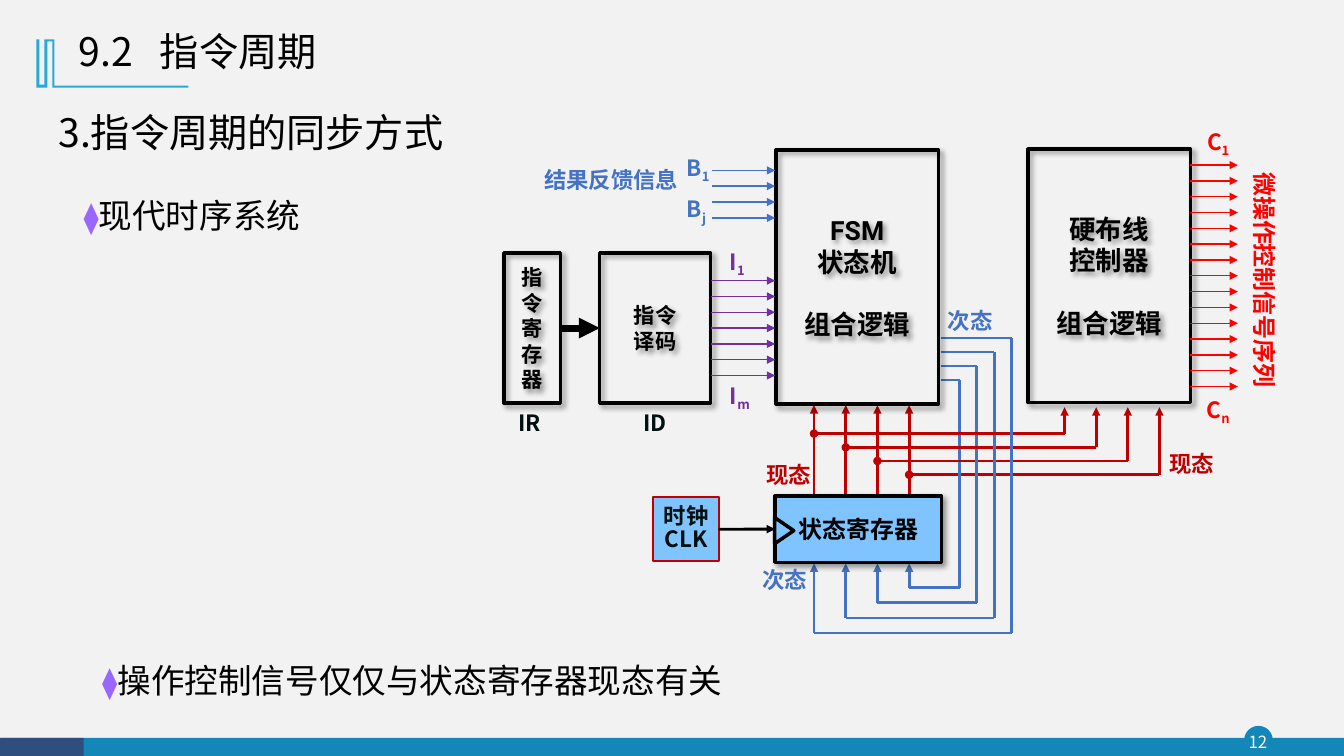
"""Build the slide on a modern timing system with an FSM and a hard-wired controller."""
from dataclasses import dataclass
from itertools import pairwise

from lxml import etree
from pptx import Presentation, util as u
from pptx.dml.color import RGBColor
from pptx.enum import shapes, text
from pptx.oxml.ns import qn
from pptx.shapes.autoshape import Shape
from pptx.shapes.connector import Connector
from pptx.slide import Slide
from pptx.text.text import _Paragraph as Paragraph

BLACK = RGBColor(0x00, 0x00, 0x00)
WHITE = RGBColor(0xFF, 0xFF, 0xFF)
PAPER = RGBColor(0xF2, 0xF2, 0xF2)
TEAL = RGBColor(0x13, 0x87, 0xB7)
NAVY = RGBColor(0x2E, 0x4E, 0x7E)
CYAN = RGBColor(0x28, 0xA9, 0xD6)
SKY = RGBColor(0x7F, 0xC4, 0xFF)
INK = RGBColor(0x00, 0x10, 0x10)
BLUE = RGBColor(0x44, 0x72, 0xC4)
PURPLE = RGBColor(0x70, 0x30, 0xA0)
VIOLET = RGBColor(0x99, 0x66, 0xFF)
RED = RGBColor(0xFF, 0x00, 0x00)
CRIMSON = RGBColor(0xC0, 0x00, 0x00)
SANS, HEADING, BLOCK, BODY = "Noto Sans CJK SC", "Noto Sans CJK JP", "Roboto", "Arial"
TIGHT = 0.87
Point = tuple[float, float]


@dataclass
class Span:
    words: str
    size: float
    color: RGBColor
    font: str = SANS
    bold: bool = False
    sub: bool = False


@dataclass
class Label:
    words: str
    left: float
    top: float
    width: float
    color: RGBColor
    sub: str = ""
    size: float = 16
    height: float = 26.6
    turn: float = 0


@dataclass
class Block:
    lines: tuple[str, ...]
    left: float
    top: float
    width: float
    height: float
    size: float
    fill: RGBColor | None = None
    gap: float = 0


@dataclass
class Bus:
    left: float
    right: float
    top: float
    pitch: float
    count: int
    color: RGBColor


def add_spans(para: Paragraph, *spans: Span) -> None:
    for span in spans:
        run = para.add_run()
        run.text = span.words
        run.font.size = u.Pt(span.size)
        run.font.bold = span.bold
        run.font.color.rgb = span.color
        run.font.name = span.font
        props = run.font._element
        etree.SubElement(props, qn("a:ea"), typeface=span.font)
        if span.sub:
            props.set("baseline", "-25000")


def add_text(page: Slide, area: tuple[float, ...], spans: list[Span], spacing: float = 1,
             align: text.PP_ALIGN = text.PP_ALIGN.CENTER, wrap: bool = False) -> Shape:
    box = page.shapes.add_textbox(*map(u.Pt, area))
    box.text_frame.word_wrap = wrap
    para = box.text_frame.paragraphs[0]
    para.alignment = align
    para.line_spacing = spacing
    add_spans(para, *spans)
    return box


def add_shape(page: Slide, kind: shapes.MSO_SHAPE, area: tuple[float, ...],
              fill: RGBColor | None, line: RGBColor | None = None, width: float = 1) -> Shape:
    shape = page.shapes.add_shape(kind, *map(u.Pt, area))
    paint(shape, fill, line, width)
    return shape


def paint(shape: Shape, fill: RGBColor | None, line: RGBColor | None = None, width: float = 1) -> None:
    shape.shadow.inherit = False
    if fill is None:
        shape.fill.background()
    else:
        shape.fill.solid()
        shape.fill.fore_color.rgb = fill
    if line is None:
        shape.line.fill.background()
    else:
        shape.line.color.rgb = line
        shape.line.width = u.Pt(width)


def add_block(page: Slide, block: Block) -> Shape:
    area = (block.left, block.top, block.width, block.height)
    shape = add_shape(page, shapes.MSO_SHAPE.RECTANGLE, area, block.fill, BLACK, 2.5)
    shadow = etree.SubElement(shape.element.spPr.find(qn("a:effectLst")), qn("a:outerShdw"),
                              blurRad=str(u.Pt(4)), dist=str(u.Pt(3)), dir="2700000",
                              algn="tl", rotWithShape="0")
    color = etree.SubElement(shadow, qn("a:srgbClr"), val=str(BLACK))
    etree.SubElement(color, qn("a:alpha"), val="40000")
    write_lines(shape, block.lines, block.size, BLACK, BLOCK, 1)
    if block.gap:
        shape.text_frame.paragraphs[-1].space_before = u.Pt(block.gap)
    return shape


def write_lines(shape: Shape, lines: tuple[str, ...], size: float, color: RGBColor,
                font: str, spacing: float) -> None:
    frame = shape.text_frame
    frame.vertical_anchor = text.MSO_ANCHOR.MIDDLE
    for index, words in enumerate(lines):
        para = frame.add_paragraph() if index else frame.paragraphs[0]
        para.alignment = text.PP_ALIGN.CENTER
        para.line_spacing = spacing
        add_spans(para, Span(words, size, color, font, True))


def add_wire(page: Slide, points: list[Point], color: RGBColor, width: float,
             dot: bool = False, arrow: bool = True) -> list[Connector]:
    wires = []
    for start, end in pairwise(points):
        wire = page.shapes.add_connector(shapes.MSO_CONNECTOR.STRAIGHT, *map(u.Pt, start + end))
        wire.line.color.rgb = color
        wire.line.width = u.Pt(width)
        outline = wire.element.spPr.find(qn("a:ln"))
        if dot and start == points[0]:
            etree.SubElement(outline, qn("a:headEnd"), type="oval")
        if arrow and end == points[-1]:
            etree.SubElement(outline, qn("a:tailEnd"), type="triangle")
        etree.SubElement(wire.element.spPr, qn("a:effectLst"))
        wires.append(wire)
    return wires


def add_bus(page: Slide, bus: Bus) -> list[Connector]:
    levels = [bus.top + bus.pitch * row for row in range(bus.count)]
    return [add_wire(page, [(bus.left, y), (bus.right, y)], bus.color, 1)[0] for y in levels]


def add_frame(page: Slide) -> None:
    page.background.fill.solid()
    page.background.fill.fore_color.rgb = PAPER
    add_shape(page, shapes.MSO_SHAPE.OVAL, (889.2, 519, 19.5, 19.5), TEAL, TEAL)
    add_shape(page, shapes.MSO_SHAPE.RECTANGLE, (0.5, 527, 959.5, 13), TEAL)
    add_shape(page, shapes.MSO_SHAPE.RECTANGLE, (0, 527, 59.8, 13), NAVY)
    number = add_text(page, (887, 519, 23, 22.3), [Span("12", 12, WHITE)])
    frame = number.text_frame
    frame.margin_left = frame.margin_right = frame.margin_top = frame.margin_bottom = 0
    frame.vertical_anchor = text.MSO_ANCHOR.MIDDLE
    corners = [(38.9, 28.1), (38.9, 61.2), (134.6, 61.2), (134.6, 62.6), (37.4, 62.6),
               (37.4, 29.5), (33.8, 29.5), (33.8, 62.6), (25.9, 62.6), (25.9, 28.1),
               (28.1, 28.1), (28.1, 60.5), (31.7, 60.5), (31.7, 28.1)]
    tenths = [(x * 10, y * 10) for x, y in corners]
    outline = page.shapes.build_freeform(*tenths[0], scale=u.Pt(0.1))
    outline.add_line_segments(tenths[1:], close=True)
    paint(outline.convert_to_shape(), CYAN)


def add_title(page: Slide) -> None:
    title = page.shapes.title
    title.left, title.top, title.width, title.height = map(u.Pt, (49, 14, 323, 49))
    title.text_frame.vertical_anchor = text.MSO_ANCHOR.MIDDLE
    title.text_frame.auto_size = text.MSO_AUTO_SIZE.NONE
    para = title.text_frame.paragraphs[0]
    tabs = etree.SubElement(para._p.get_or_add_pPr(), qn("a:tabLst"))
    etree.SubElement(tabs, qn("a:tab"), pos=str(u.Pt(58)), algn="l")
    para.alignment = text.PP_ALIGN.LEFT
    para.line_spacing = 0.9
    add_spans(para, Span("9.2\t指令周期", 28, BLACK))


def add_headings(page: Slide) -> None:
    left = text.PP_ALIGN.LEFT
    add_text(page, (34.6, 78.5, 315.4, 41), [Span("3.指令周期的同步方式", 28, BLACK, HEADING)], TIGHT, left, True)
    add_text(page, (52.6, 138.2, 176.4, 36),
             [Span("⧫", 22, VIOLET), Span("现代时序系统", 24, BLACK, BODY)], 0.93, left)
    add_text(page, (54.7, 468, 479.5, 36),
             [Span("⧫", 22, VIOLET, "DejaVu Sans"),
              Span("操作控制信号仅仅与状态寄存器现态有关", 24, BLACK, BODY)], wrap=True)


def add_loops(page: Slide) -> None:
    for lane in range(4):
        column, copy_column = 649.4 - 22.65 * lane, 828.2 - 22.6 * lane
        branch = 339.1 - 9.8 * lane
        add_wire(page, [(column, 354.2), (column, 289.4)], CRIMSON, 2)
        add_wire(page, [(column, branch), (copy_column, branch), (copy_column, 290.9)], CRIMSON, 2, dot=True)
        source, bend, bottom = 271.4 - 10 * lane, 685.4 + 12.4 * lane, 419.8 + 10.8 * lane
        add_wire(page, [(672, source), (bend, source), (bend, bottom), (column, bottom), (column, 402.5)], BLUE, 2)


def add_diagram(page: Slide) -> None:
    add_loops(page)
    decoder, instruction, register, _, _ = [add_block(page, block) for block in (
        Block(("指令", "译码"), 428.4, 180.7, 79.2, 107.3, 15.2),
        Block(("指令寄存器",), 360, 180.7, 40.3, 107.3, 15.2),
        Block(("状态寄存器",), 553.7, 354.2, 118.8, 47.5, 17.1, SKY),
        Block(("硬布线", "控制器", "组合逻辑"), 734.4, 106.5, 115.9, 181, 18.9, gap=22.1),
        Block(("FSM", "状态机", "组合逻辑"), 554.4, 107, 115.9, 181.5, 18.9, gap=22.1))]
    clock = add_shape(page, shapes.MSO_SHAPE.RECTANGLE, (466.6, 355, 46.8, 46), SKY, CRIMSON, 1.5)
    clock.text_frame.word_wrap = False
    write_lines(clock, ("时钟", "CLK"), 16, INK, SANS, TIGHT)
    edge = add_shape(page, shapes.MSO_SHAPE.ISOSCELES_TRIANGLE, (550.8, 372.2, 18.7, 13.7), SKY, BLACK, 2.5)
    edge.rotation = 90

    for source, target, width in ((instruction, decoder, 5), (clock, register, 2)):
        wire = add_wire(page, [(400, 234), (428, 234)], BLACK, width)[0]
        wire.begin_connect(source, 3)
        wire.end_connect(target, 1)
    opcodes, _, controls = [add_bus(page, bus) for bus in (
        Bus(507.6, 553.7, 200.45, 11.3, 7, PURPLE),
        Bus(508.3, 553.7, 121.7, 11.3, 4, BLUE),
        Bus(850.3, 884.2, 117.9, 11.3, 15, RED))]
    opcodes[3].begin_connect(decoder, 3)
    controls[7].begin_connect(page.shapes[[s.shape_id for s in page.shapes].index(_block_id(page, "硬布线"))], 3)


def _block_id(page: Slide, opening: str) -> int:
    return next(s.shape_id for s in page.shapes if s.has_text_frame and s.text_frame.text.startswith(opening))


def add_labels(page: Slide) -> None:
    for label in (
            Label("IR", 360, 291.6, 36.7, INK), Label("ID", 449.3, 291.6, 36.7, INK),
            Label("结果反馈信息", 380.9, 118.1, 111.6, BLUE),
            Label("I", 513.4, 174.2, 26.6, PURPLE, "1"), Label("I", 513.4, 270, 30.2, PURPLE, "m"),
            Label("C", 853.9, 88.6, 32.4, RED, "1"), Label("C", 853.9, 280.1, 32.4, RED, "n"),
            Label("B", 482.4, 107.3, 32.4, BLUE, "1"), Label("B", 483.1, 136.8, 28.8, BLUE, "j"),
            Label("现态", 823.7, 320.4, 55.4, CRIMSON), Label("现态", 535.7, 328.3, 55.4, CRIMSON),
            Label("次态", 665.3, 218.2, 55.4, BLUE), Label("次态", 532.8, 403.2, 55.4, BLUE),
            Label("微操作控制信号序列", 815.8, 185.8, 169.9, RED, size=17.1, height=28.1, turn=90)):
        spans = [Span(label.words, label.size, label.color, bold=True)]
        if label.sub:
            spans.append(Span(label.sub, label.size, label.color, bold=True, sub=True))
        box = add_text(page, (label.left, label.top, label.width, label.height), spans, TIGHT)
        box.rotation = label.turn


def main() -> None:
    deck = Presentation()
    deck.slide_width, deck.slide_height = u.Pt(960), u.Pt(540)
    page = deck.slides.add_slide(deck.slide_layouts[5])
    add_frame(page)
    add_title(page)
    add_headings(page)
    add_diagram(page)
    add_labels(page)
    deck.save("out.pptx")


if __name__ == "__main__":
    main()
